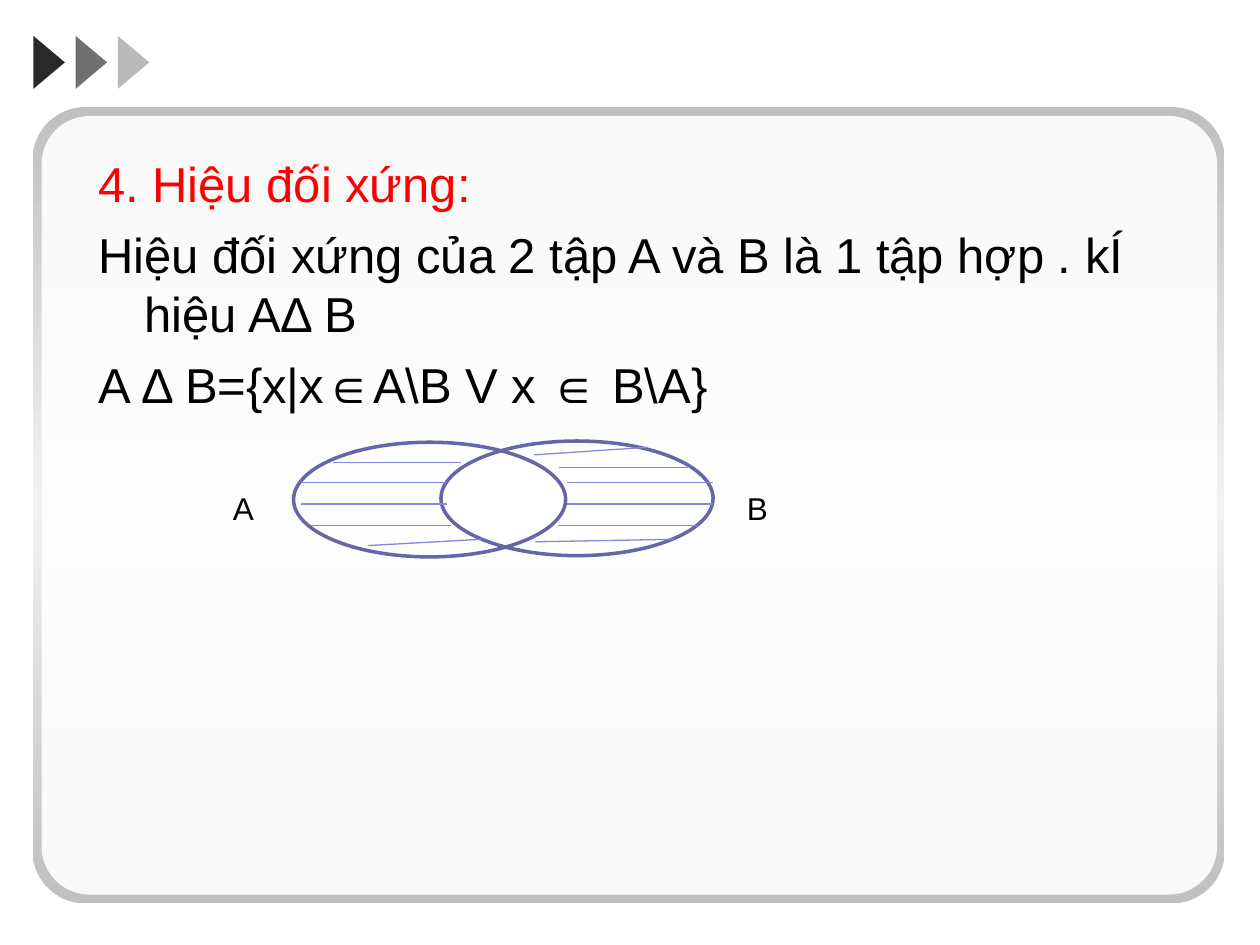
import copy
from dataclasses import dataclass

import pptx
import pptx.util
import pptx.dml.color
import pptx.enum.shapes
import pptx.oxml
import pptx.oxml.ns
from pptx.util import Inches

SHAPES = pptx.enum.shapes.MSO_SHAPE


@dataclass(frozen=True)
class Theme:
    font: str = "Arial"
    body_size: int = 28
    label_size: int = 18
    heading: str = "FF0000"
    ink: str = "000000"
    paper: str = "FFFFFF"
    frame_edge: str = "C0C0C0"
    frame_middle: str = "F2F2F2"
    outline: str = "6566A5"
    hatch: str = "8688DE"
    outline_width: float = 2
    hatch_width: float = 0.75


THEME = Theme()


def rgb(code):
    return pptx.dml.color.RGBColor.from_string(code)


def xml_child(parent, tag, **attributes):
    child = pptx.oxml.parse_xml(f"<{tag} {pptx.oxml.ns.nsdecls('a')}/>")
    for key, value in attributes.items():
        child.set(key, str(value))
    parent.append(child)
    return child


def add_figure(shapes, kind, box, color=None, opacity=100, outline=None):
    figure = shapes.add_shape(kind, *map(Inches, box))
    figure.shadow.inherit = False
    if color:
        figure.fill.solid()
        figure.fill.fore_color.rgb = rgb(color)
        if opacity < 100:
            color_xml = figure.fill._xPr.find(".//" + pptx.oxml.ns.qn("a:srgbClr"))
            xml_child(color_xml, "a:alpha", val=opacity * 1000)
    else:
        figure.fill.background()
    if outline:
        figure.line.color.rgb = rgb(outline)
        figure.line.width = pptx.util.Pt(THEME.outline_width)
    else:
        figure.line.fill.background()
    return figure


def fill_frame(frame):
    frame.fill.gradient()
    frame.fill.gradient_angle = 90
    stops = frame.fill._fill._gradFill.gsLst
    stops.append(copy.deepcopy(stops[-1]))
    colors = (THEME.frame_edge, THEME.frame_middle, THEME.frame_edge)
    for stop, position, color in zip(frame.fill.gradient_stops, (0, 0.5, 1), colors):
        stop.position = position
        stop.color.rgb = rgb(color)


def add_panel(shapes):
    frame = add_figure(shapes, SHAPES.ROUNDED_RECTANGLE, (0.26, 0.85, 9.46, 6.32))
    frame.adjustments[0] = 0.066
    fill_frame(frame)
    sheet = add_figure(shapes, SHAPES.ROUNDED_RECTANGLE, (0.33, 0.92, 9.33, 6.18),
                       THEME.paper, 90)
    sheet.adjustments[0] = 0.062


def add_arrowheads(shapes):
    for index, opacity in enumerate((84, 56, 27)):
        arrowhead = add_figure(shapes, SHAPES.ISOSCELES_TRIANGLE,
                               (0.18 + index * 0.335, 0.37, 0.42, 0.25),
                               THEME.ink, opacity)
        arrowhead.rotation = 90


def add_text(shapes, box, lines, size, hanging=False):
    frame = shapes.add_textbox(*map(Inches, box)).text_frame
    frame.word_wrap = True
    for index, (text, color) in enumerate(lines):
        paragraph = frame.paragraphs[0] if index == 0 else frame.add_paragraph()
        paragraph.text = text
        paragraph.font.name = THEME.font
        paragraph.font.size = pptx.util.Pt(size)
        paragraph.font.color.rgb = rgb(color)
        if hanging:
            paragraph.space_before = pptx.util.Pt(7)
            properties = paragraph._p.get_or_add_pPr()
            properties.set("marL", str(Inches(0.38)))
            properties.set("indent", str(Inches(-0.37)))


def add_hatching(shapes, strokes):
    for x1, y1, x2, y2 in strokes:
        stroke = shapes.add_connector(pptx.enum.shapes.MSO_CONNECTOR.STRAIGHT,
                                      *map(Inches, (x1, y1, x2, y2)))
        stroke.line.color.rgb = rgb(THEME.hatch)
        stroke.line.width = pptx.util.Pt(THEME.hatch_width)
        xml_child(stroke._element.spPr, "a:effectLst")


def add_venn_diagram(shapes):
    venn = shapes.add_group_shape().shapes
    add_figure(venn, SHAPES.OVAL, (3.5, 3.5, 2.16, 0.91), THEME.paper,
               outline=THEME.outline)
    add_figure(venn, SHAPES.OVAL, (2.33, 3.51, 2.16, 0.91), outline=THEME.outline)
    only_a = [(2.64, 3.67, 3.66, 3.67), (2.39, 3.83, 3.55, 3.83),
              (2.39, 4, 3.55, 4), (2.47, 4.17, 3.58, 4.17),
              (2.92, 4.33, 3.82, 4.28)]
    only_b = [(4.44, 3.71, 5.46, 3.71), (4.5, 3.83, 5.66, 3.83),
              (4.5, 4, 5.66, 4), (4.43, 4.17, 5.54, 4.17),
              (4.25, 4.3, 5.35, 4.28), (4.24, 3.61, 5.14, 3.55)]
    add_hatching(venn, only_a + only_b)
    for name, left in (("A", 1.75), ("B", 5.83)):
        add_text(venn, (left, 3.83, 0.58, 0.4), [(name, THEME.ink)],
                 THEME.label_size)


def main():
    deck = pptx.Presentation()
    deck.slide_width, deck.slide_height = Inches(10), Inches(7.5)
    shapes = deck.slides.add_slide(deck.slide_layouts[6]).shapes
    add_panel(shapes)
    add_arrowheads(shapes)
    definition = [
        ("4. Hiệu đối xứng:", THEME.heading),
        ("Hiệu đối xứng của 2 tập A và B là 1 tập hợp . kÍ hiệu AΔ B", THEME.ink),
        ("A Δ B={x|x∈A\\B V x ∈ B\\A}", THEME.ink),
    ]
    add_text(shapes, (0.67, 1.17, 9, 5.75), definition, THEME.body_size, hanging=True)
    add_venn_diagram(shapes)
    deck.save("out.pptx")


if __name__ == "__main__":
    main()
